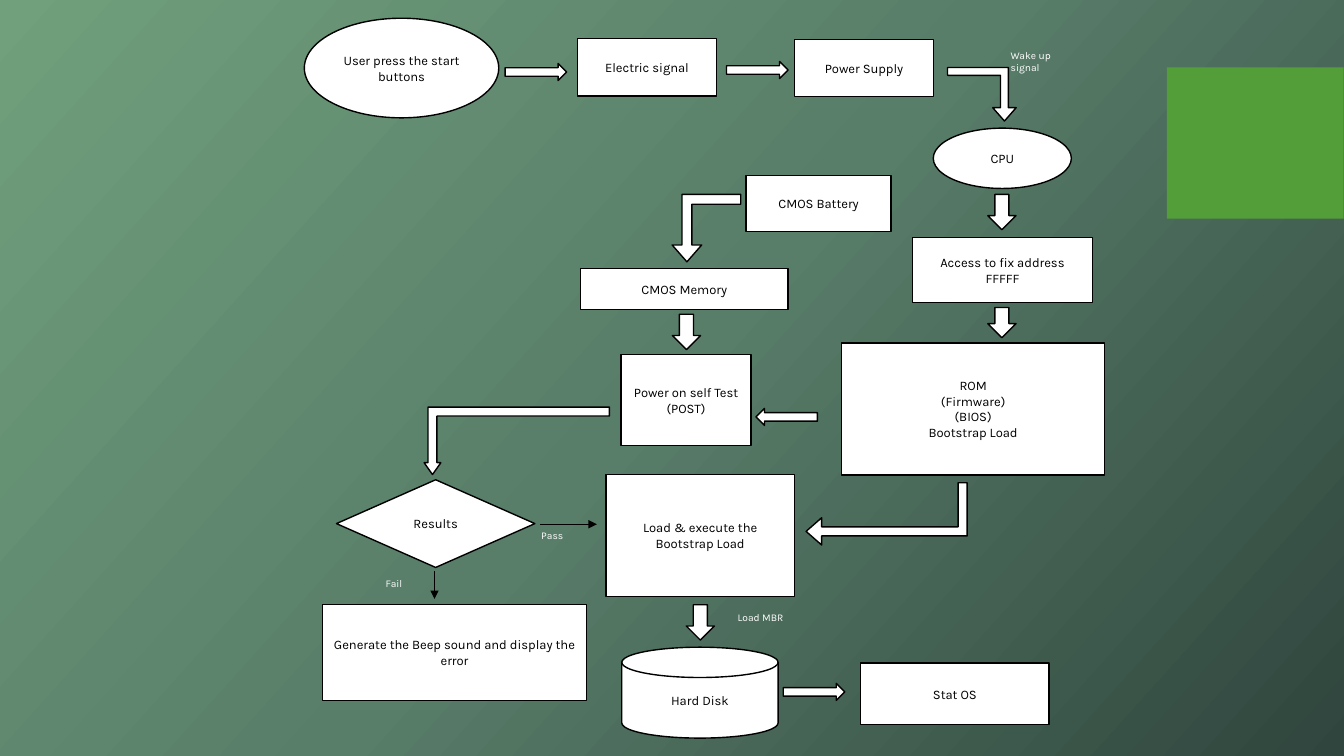
from copy import deepcopy

from lxml import etree
from pptx import Presentation
from pptx.dml.color import RGBColor
from pptx.enum.shapes import MSO_CONNECTOR, MSO_SHAPE
from pptx.enum.text import MSO_ANCHOR, MSO_AUTO_SIZE, PP_ALIGN
from pptx.oxml.ns import qn
from pptx.util import Cm, Pt

WHITE = RGBColor(0xFF, 0xFF, 0xFF)
BLACK = RGBColor(0x00, 0x00, 0x00)
GREEN = RGBColor(0x54, 0x9E, 0x39)

# Background: position and colour of each stop, then the clockwise angle
GRADIENT = [
    (0, RGBColor(0x70, 0xA0, 0x7C)),
    (0.5, RGBColor(0x58, 0x7D, 0x69)),
    (1, RGBColor(0x2F, 0x45, 0x3D)),
]
GRADIENT_ANGLE = 42

STEP_FONT = {"name": "Karla", "size": Pt(9.3)}
LABEL_FONT = {"name": "Karla", "size": Pt(7.3)}

# All places are in centimetres: left, top, width, height
GREEN_PANEL = (29.41, 1.7, 4.45, 3.81)

RECTANGLE, ELLIPSE = MSO_SHAPE.RECTANGLE, MSO_SHAPE.OVAL
DISK, DECISION = MSO_SHAPE.FLOWCHART_MAGNETIC_DISK, MSO_SHAPE.FLOWCHART_DECISION
STEPS = [
    (ELLIPSE, (7.67, 0.46, 4.9, 2.51), ["User press the start buttons"]),
    (RECTANGLE, (14.55, 0.97, 3.51, 1.45), ["Electric signal"]),
    (RECTANGLE, (20.02, 0.99, 3.51, 1.45), ["Power Supply"]),
    (ELLIPSE, (23.52, 3.23, 3.48, 1.52), ["CPU"]),
    (RECTANGLE, (22.99, 5.99, 4.55, 1.63), ["Access to fix address", "FFFFF"]),
    (RECTANGLE, (21.21, 8.64, 6.63, 3.33),
     ["ROM", "(Firmware)", "(BIOS)", "Bootstrap Load"]),
    (RECTANGLE, (18.8, 4.42, 3.66, 1.42), ["CMOS Battery"]),
    (RECTANGLE, (14.63, 6.76, 5.23, 1.04), ["CMOS Memory"]),
    (RECTANGLE, (15.65, 8.94, 3.28, 2.29), ["Power on self Test", "(POST)"]),
    (DECISION, (8.48, 12.09, 5, 2.21), ["Results"]),
    (RECTANGLE, (8.13, 15.24, 6.65, 2.41),
     ["Generate the Beep sound and display the error"]),
    (RECTANGLE, (15.27, 11.96, 4.75, 3.07),
     ["Load & execute the", "Bootstrap Load"]),
    (DISK, (15.67, 16.31, 3.94, 2.29), ["Hard Disk"]),
    (RECTANGLE, (21.69, 16.71, 4.75, 1.55), ["Stat OS"]),
]

# Sideways arrows: left, top, rotation
SIDE_ARROW_SIZE = (1.55, 0.43)
SIDE_ARROWS = [(12.73, 1.6, 0), (18.31, 1.55, 0), (19.05, 10.29, 180), (19.74, 17.22, 0)]

# Down arrows: centre, top, height
DOWN_ARROW_WIDTH = 0.71
DOWN_ARROWS = [(25.25, 4.9, 0.89), (25.25, 7.75, 0.76),
               (17.3, 7.92, 0.89), (17.65, 15.24, 0.89)]

# Bent arrows: place, rotation, flips, adjustments
WIDE_HEAD, SLIM_HEAD = (0.146, 0.219, 0.25), (0.132, 0.124, 0.176)
BENT_ARROWS = [
    ((23.88, 1.7, 1.73, 1.35), 180, ["flipH"], WIDE_HEAD),
    ((21.56, 10.92, 1.57, 4.06), 270, ["flipH"], WIDE_HEAD),
    ((16.94, 4.9, 1.73, 1.7), 0, ["flipH", "flipV"], WIDE_HEAD),
    ((10.69, 10.26, 4.67, 1.7), 0, ["flipH", "flipV"], SLIM_HEAD),
]

# Thin branch arrows: start x, start y, end x, end y
BRANCHES = [(13.61, 13.21, 15.04, 13.21), (10.95, 14.4, 10.95, 15.09)]

LABELS = [
    ((25.22, 1.12, 2.59, 1.65), ["Wake up", "signal"]),
    ((13.39, 13.21, 1.91, 1.22), ["Pass"]),
    ((9.47, 14.43, 1.5, 1.65), ["Fail"]),
    ((18.34, 15.27, 4.88, 0.79), ["Load MBR"]),
]


def to_cm(values):
    return [Cm(value) for value in values]


def write(frame, lines, font, color, alignment):
    frame.word_wrap = True
    for index, line in enumerate(lines):
        para = frame.paragraphs[0] if index == 0 else frame.add_paragraph()
        para.alignment = alignment
        span = para.add_run()
        span.text = line
        for name, value in font.items():
            setattr(span.font, name, value)
        span.font.color.rgb = color


def add_shape(page, kind, place, fill=WHITE, line=BLACK):
    shape = page.shapes.add_shape(kind, *to_cm(place))
    shape.shadow.inherit = False
    shape.fill.solid()
    shape.fill.fore_color.rgb = fill
    if line is None:
        shape.line.fill.background()
    else:
        shape.line.color.rgb = line
        shape.line.width = Pt(1)
    return shape


def paint_background(page):
    fill = page.background.fill
    fill.gradient()
    fill.gradient_angle = 360 - GRADIENT_ANGLE
    stop_list = page.element.find(".//" + qn("a:gsLst"))
    stop_list.append(deepcopy(stop_list[-1]))
    for stop, (position, color) in zip(fill.gradient_stops, GRADIENT):
        stop.position = position
        stop.color.rgb = color


def add_branch(page, ends):
    branch = page.shapes.add_connector(MSO_CONNECTOR.STRAIGHT, *to_cm(ends))
    branch.line.color.rgb = BLACK
    branch.line.width = Pt(0.75)
    properties = branch.element.spPr
    line = properties.find(qn("a:ln"))
    etree.SubElement(line, qn("a:tailEnd"), type="triangle")
    etree.SubElement(properties, qn("a:effectLst"))


def main():
    deck = Presentation()
    deck.slide_width, deck.slide_height = Cm(33.87), Cm(19.05)
    page = deck.slides.add_slide(deck.slide_layouts[6])
    paint_background(page)
    add_shape(page, RECTANGLE, GREEN_PANEL, GREEN, None)

    # Steps of the boot process
    for kind, place, lines in STEPS:
        box = add_shape(page, kind, place)
        box.text_frame.vertical_anchor = MSO_ANCHOR.MIDDLE
        write(box.text_frame, lines, STEP_FONT, BLACK, PP_ALIGN.CENTER)

    # Block arrows
    for left, top, rotation in SIDE_ARROWS:
        arrow = add_shape(page, MSO_SHAPE.RIGHT_ARROW, (left, top, *SIDE_ARROW_SIZE))
        arrow.rotation = rotation
    for center, top, height in DOWN_ARROWS:
        left = center - DOWN_ARROW_WIDTH / 2
        add_shape(page, MSO_SHAPE.DOWN_ARROW, (left, top, DOWN_ARROW_WIDTH, height))
    for place, rotation, flips, adjustments in BENT_ARROWS:
        arrow = add_shape(page, MSO_SHAPE.BENT_UP_ARROW, place)
        arrow.rotation = rotation
        for index, value in enumerate(adjustments):
            arrow.adjustments[index] = value
        for flip in flips:
            arrow.element.spPr.find(qn("a:xfrm")).set(flip, "1")

    # Branches and their labels
    for ends in BRANCHES:
        add_branch(page, ends)
    for place, lines in LABELS:
        label = page.shapes.add_textbox(*to_cm(place))
        write(label.text_frame, lines, LABEL_FONT, WHITE, PP_ALIGN.LEFT)
        label.text_frame.auto_size = MSO_AUTO_SIZE.SHAPE_TO_FIT_TEXT

    deck.save("out.pptx")


if __name__ == "__main__":
    main()
